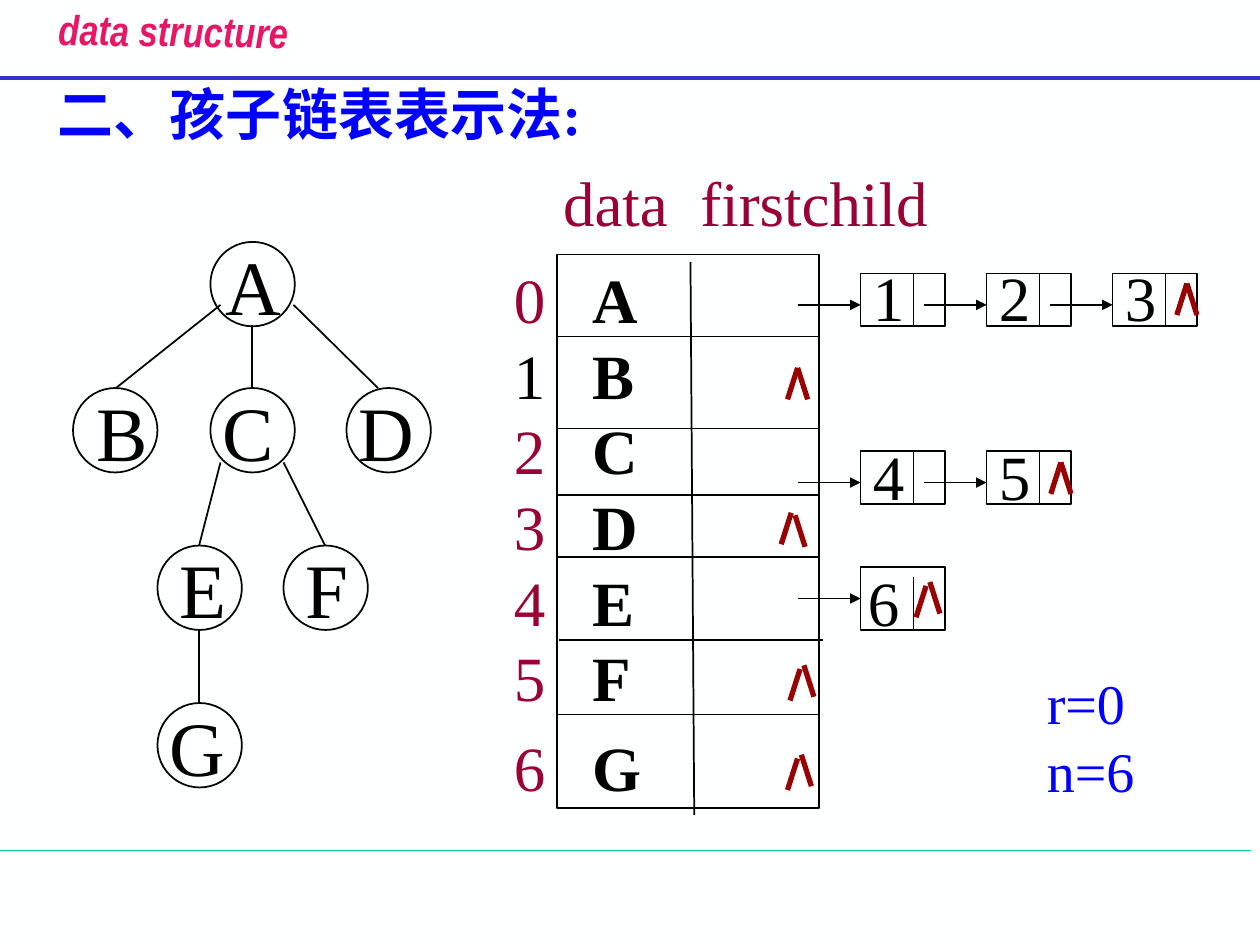
import pptx
import pptx.util
import pptx.dml.color
import pptx.enum.shapes
import pptx.enum.text
import pptx.oxml.ns
import lxml.etree

Inches = pptx.util.Inches
SERIF = "Times New Roman"
BLACK, MAROON, RED, BLUE = "000000", "990033", "990000", "0000FF"
NODE = 0.67


def rgb(value):
    return pptx.dml.color.RGBColor.from_string(value)


def add_xml(parent, tag, **attributes):
    return lxml.etree.SubElement(parent, pptx.oxml.ns.qn(tag), **attributes)


def write(paragraph, text, size=36, color=BLACK, font=SERIF, bold=False, italic=False):
    run = paragraph.add_run()
    run.text = text
    run.font.size = pptx.util.Pt(size)
    run.font.name = font
    run.font.bold = bold
    run.font.italic = italic
    run.font.color.rgb = rgb(color)
    paragraph.line_spacing = pptx.util.Pt(round(size * 1.2, 2))


def set_tabs(paragraph, stops):
    tabs = add_xml(paragraph._p.get_or_add_pPr(), "a:tabLst")
    for stop in stops:
        add_xml(tabs, "a:tab", pos=str(Inches(stop)), algn="l")


def add_label(slide, left, top, width, height, wrap=False):
    label = slide.shapes.add_textbox(Inches(left), Inches(top), Inches(width), Inches(height))
    label.text_frame.word_wrap = wrap
    return label


def add_line(slide, start, end, color=BLACK, width=1, arrow=False):
    line = slide.shapes.add_connector(
        pptx.enum.shapes.MSO_CONNECTOR.STRAIGHT, *(Inches(v) for v in (*start, *end)))
    line.line.color.rgb = rgb(color)
    line.line.width = pptx.util.Pt(width)
    if arrow:
        add_xml(line.line._get_or_add_ln(), "a:tailEnd", type="triangle")
    add_xml(line._element.spPr, "a:effectLst")
    return line


def add_outline(slide, kind, left, top, width, height):
    outline = slide.shapes.add_shape(kind, Inches(left), Inches(top), Inches(width), Inches(height))
    outline.shadow.inherit = False
    outline.fill.background()
    outline.line.color.rgb = rgb(BLACK)
    outline.line.width = pptx.util.Pt(1)
    return outline


def add_nil(slide, x, y, dx=0, dy=0):
    add_line(slide, (x, y), (x - 0.08, y + 0.25), RED, 3)
    add_line(slide, (x + dx, y + dy), (x + dx + 0.08, y + dy + 0.25), RED, 3)


def add_title(slide):
    title = slide.shapes.title
    title.left, title.top, title.width, title.height = (
        Inches(v) for v in (0.36, 0.58, 6.55, 0.64))
    title.text_frame.vertical_anchor = pptx.enum.text.MSO_ANCHOR.TOP
    heading = title.text_frame.paragraphs[0]
    heading.alignment = pptx.enum.text.PP_ALIGN.LEFT
    write(heading, "二、孩子链表表示法:", size=32, color=BLUE, bold=True)


def add_frame(slide):
    add_line(slide, (0, 6.75), (9.93, 6.75), "00CC99", 0.75)
    add_line(slide, (0, 0.62), (10, 0.62), "3333CC", 2.25)
    course = add_label(slide, 0.23, -0.01, 2.29, 0.54)
    course.rotation = 0.8
    banner = course.text_frame.paragraphs[0]
    banner.alignment = pptx.enum.text.PP_ALIGN.CENTER
    write(banner, "data structure", size=24, color="E81766", font="Arial Narrow",
          bold=True, italic=True)


def add_tree(slide):
    nodes = [("A", 1.67, 1.92, 0.02), ("B", 0.58, 3.08, 0.09), ("C", 1.67, 3.08, 0),
             ("D", 2.75, 3.08, 0), ("E", 1.25, 4.33, 0.08), ("F", 2.25, 4.33, 0.08),
             ("G", 1.25, 5.58, 0)]
    for letter, left, top, shift in nodes:
        add_outline(slide, pptx.enum.shapes.MSO_SHAPE.OVAL, left, top, NODE, NODE)
        label = add_label(slide, left + shift, top - 0.08, 0.62, 0.83)
        write(label.text_frame.paragraphs[0], letter, size=44)
    branches = [((1.75, 2.42), (0.92, 3.08)), ((2, 2.58), (2, 3.08)),
                ((2.33, 2.42), (3, 3.08)), ((1.75, 3.67), (1.58, 4.33)),
                ((2.25, 3.67), (2.58, 4.33)), ((1.58, 5), (1.58, 5.58))]
    for parent, child in branches:
        add_line(slide, parent, child)


def add_head_array(slide):
    header = add_label(slide, 4.37, 1.25, 4.55, 0.7, wrap=True).text_frame.paragraphs[0]
    set_tabs(header, [1.09])
    write(header, "data\tfirstchild", color=MAROON)

    entries = add_label(slide, 3.98, 2.02, 1.58, 4.48).text_frame
    for index, letter in enumerate("ABCDEFG"):
        entry = entries.add_paragraph() if index else entries.paragraphs[0]
        set_tabs(entry, [0.62])
        write(entry, f"{index}\t", color=BLACK if index == 1 else MAROON)
        write(entry, letter, bold=True)
    entry.space_before = pptx.util.Pt(8)

    add_outline(slide, pptx.enum.shapes.MSO_SHAPE.RECTANGLE, 4.42, 2.02, 2.08, 4.39)
    for y in (2.67, 3.4, 3.93, 4.42, 5.67):
        add_line(slide, (4.42, y), (6.5, y))
    add_line(slide, (4.44, 5.08), (6.53, 5.08))
    add_line(slide, (5.48, 2.08), (5.51, 6.47))
    add_nil(slide, 6.33, 2.92)
    add_nil(slide, 6.28, 4.07, 0.03, 0.02)
    add_nil(slide, 6.35, 5.31, 0.03, -0.03)
    add_nil(slide, 6.33, 6.02, 0.03, -0.03)


def add_chain(slide, children, top, height=0.42, label_left=6.83, label_top=None,
              divider_top=None, centred=False):
    for step in range(len(children)):
        left = 6.83 + step
        cell = add_outline(slide, pptx.enum.shapes.MSO_SHAPE.RECTANGLE, left, top, NODE, height)
        add_line(slide, (left + 0.42, divider_top or top), (left + 0.42, top + height))
        link = add_line(slide, (left - 0.5, top + 0.25), (left, top + 0.25), arrow=True)
        if centred:
            link.end_connect(cell, 1)
    label = add_label(slide, label_left, label_top, len(children) - 0.5, 0.7)
    numbers = label.text_frame.paragraphs[0]
    if len(children) > 1:
        set_tabs(numbers, range(1, len(children)))
    write(numbers, "\t".join(children))


def add_chains(slide):
    add_chain(slide, "123", 2.17, label_top=2)
    add_nil(slide, 9.42, 2.25)
    add_chain(slide, "45", 3.58, label_top=3.42)
    add_nil(slide, 8.42, 3.67)
    add_chain(slide, "6", 4.5, height=0.5, label_left=6.79, label_top=4.42,
              divider_top=4.58, centred=True)
    add_nil(slide, 7.35, 4.65, 0.03, -0.03)


def add_summary(slide):
    summary = add_label(slide, 8.21, 5.26, 0.9, 1.18).text_frame
    write(summary.paragraphs[0], "r=0", size=32, color=BLUE)
    write(summary.add_paragraph(), "n=6", size=32, color=BLUE)


def main():
    deck = pptx.Presentation()
    deck.slide_width, deck.slide_height = Inches(10), Inches(7.5)
    slide = deck.slides.add_slide(deck.slide_layouts[5])
    slide.background.fill.solid()
    slide.background.fill.fore_color.rgb = rgb("FEFFFF")
    add_frame(slide)
    add_title(slide)
    add_tree(slide)
    add_head_array(slide)
    add_chains(slide)
    add_summary(slide)
    deck.save("out.pptx")


if __name__ == "__main__":
    main()
